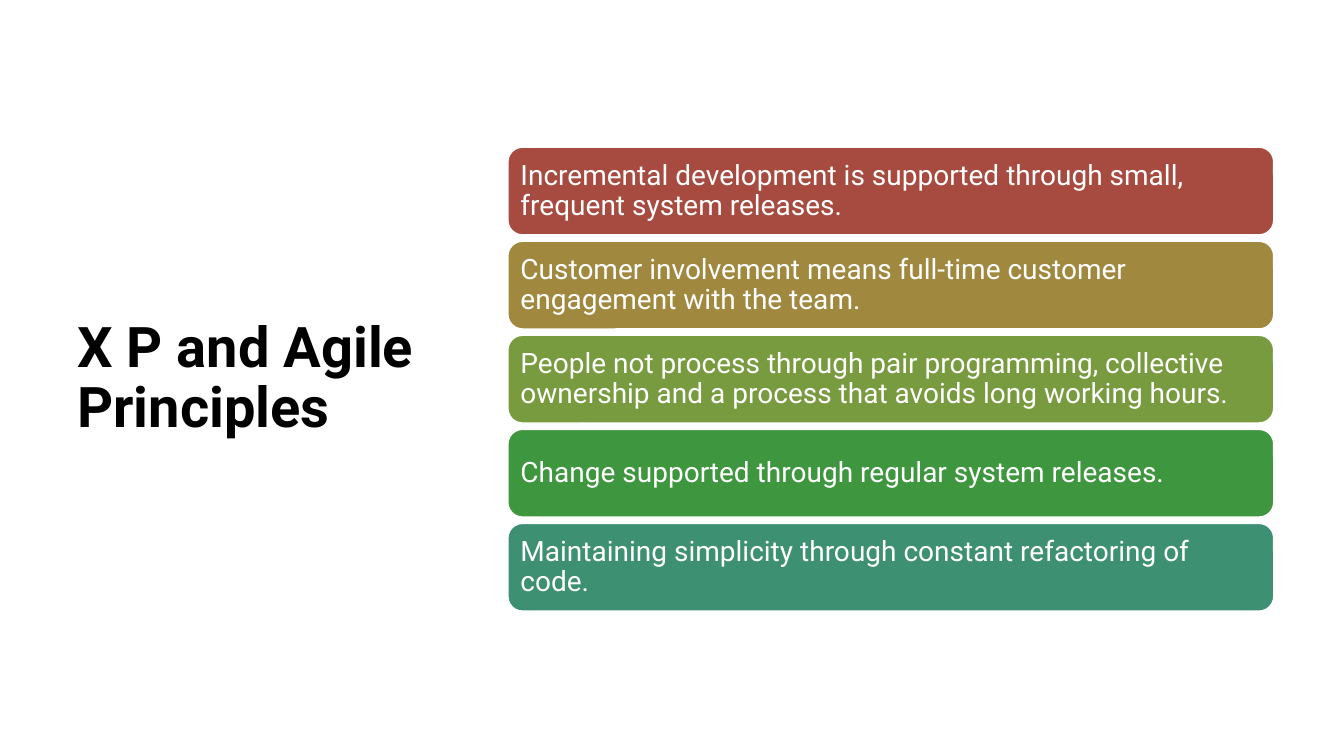
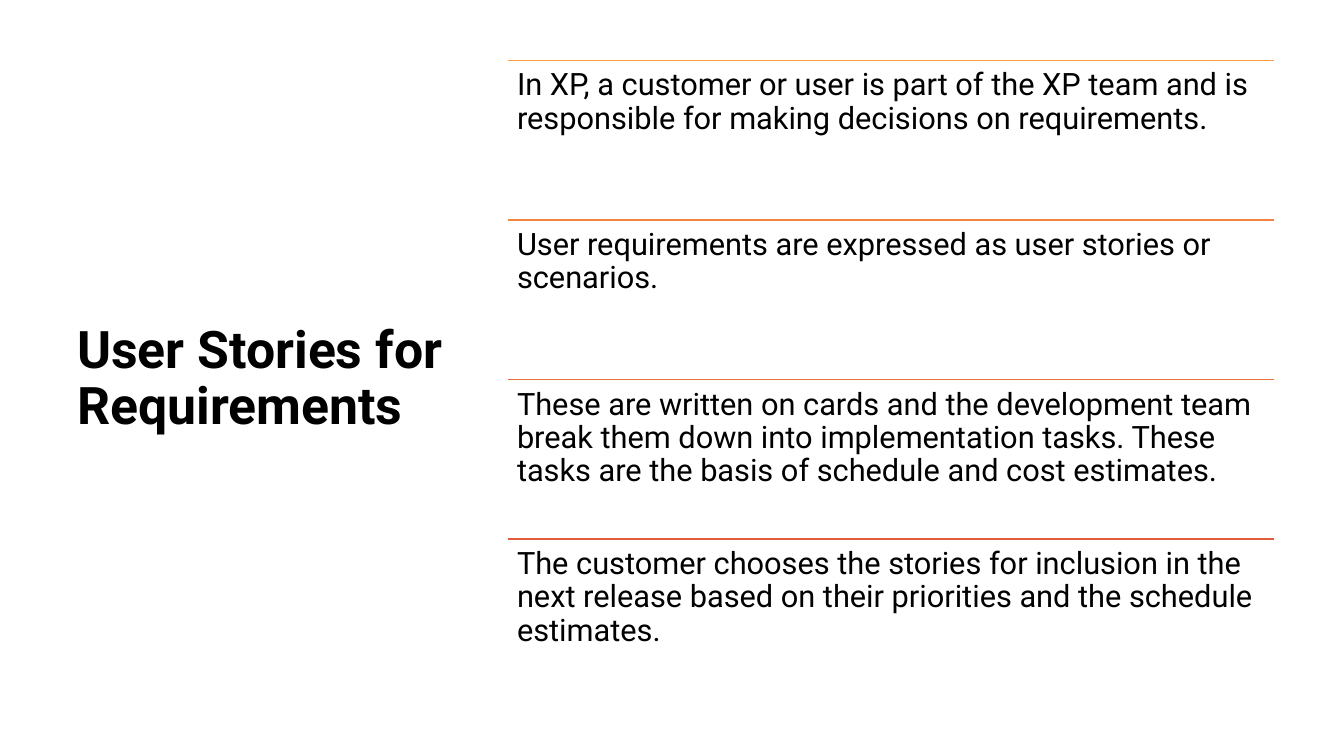
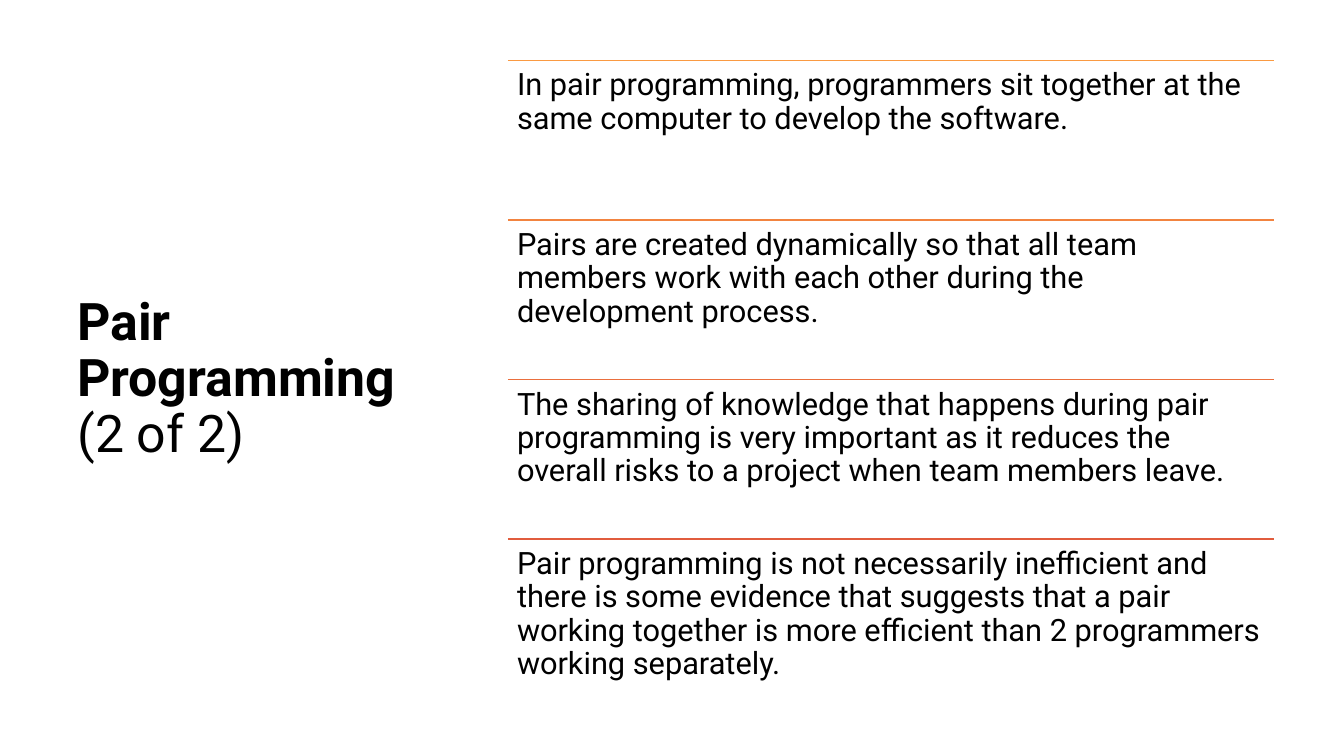
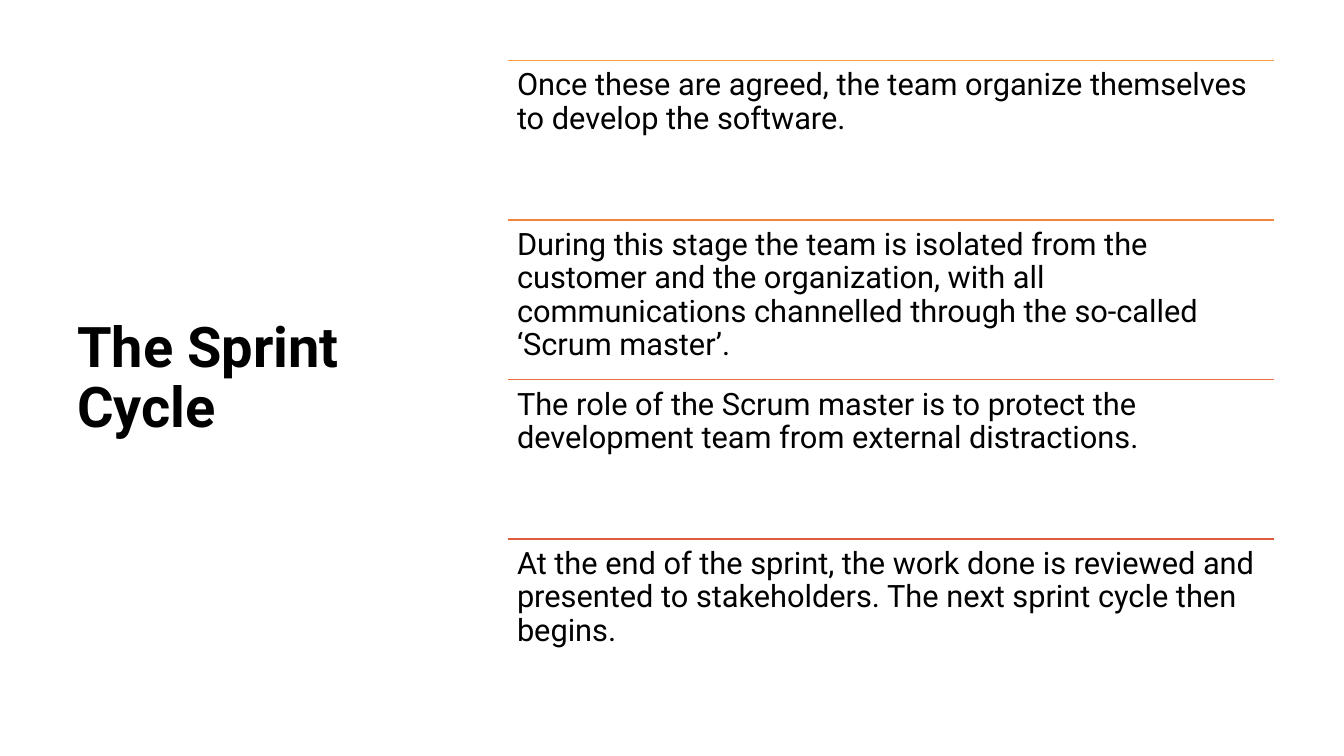
from lxml import etree
from pptx import Presentation
from pptx.dml.color import RGBColor
from pptx.enum.shapes import MSO_CONNECTOR, MSO_SHAPE
from pptx.enum.text import MSO_ANCHOR, PP_ALIGN
from pptx.oxml.ns import qn
from pptx.util import Cm, Pt

STRAIGHT = MSO_CONNECTOR.STRAIGHT
ROUNDED = MSO_SHAPE.ROUNDED_RECTANGLE
TOP, MIDDLE = MSO_ANCHOR.TOP, MSO_ANCHOR.MIDDLE
LEFT = PP_ALIGN.LEFT

FONT = "Roboto"
BLACK = RGBColor(0x00, 0x00, 0x00)
WHITE = RGBColor(0xFF, 0xFF, 0xFF)
CARD_COLORS = [
    RGBColor(0xA7, 0x4B, 0x40),
    RGBColor(0xA1, 0x88, 0x3F),
    RGBColor(0x79, 0x9B, 0x3F),
    RGBColor(0x3E, 0x96, 0x3E),
    RGBColor(0x3D, 0x90, 0x72),
]
RULE_COLORS = [
    RGBColor(0xFA, 0x9A, 0x42),
    RGBColor(0xF2, 0x84, 0x40),
    RGBColor(0xEA, 0x6F, 0x3E),
    RGBColor(0xE1, 0x5C, 0x3D),
]

BODY_TOP, BODY_H = Cm(1.52), Cm(16.08)
TITLE_X, TITLE_W = Cm(1.7), Cm(9.7)
LIST_X, LIST_W = Cm(12.8), Cm(19.3)
CARD_TOP, CARD_H, CARD_GAP = Cm(3.71), Cm(2.21), Cm(0.16)

SLIDES = [
    {
        "title": "X P and Agile Principles",
        "size": 40,
        "style": "cards",
        "items": [
            "Incremental development is supported through small, frequent system releases.",
            "Customer involvement means full-time customer engagement with the team.",
            "People not process through pair programming, collective ownership and a process "
            "that avoids long working hours.",
            "Change supported through regular system releases.",
            "Maintaining simplicity through constant refactoring of code.",
        ],
    },
    {
        "title": "User Stories for Requirements",
        "size": 37,
        "style": "rules",
        "items": [
            "In XP, a customer or user is part of the XP team and is responsible for making "
            "decisions on requirements.",
            "User requirements are expressed as user stories or scenarios.",
            "These are written on cards and the development team break them down into "
            "implementation tasks. These tasks are the basis of schedule and cost estimates.",
            "The customer chooses the stories for inclusion in the next release based on "
            "their priorities and the schedule estimates.",
        ],
    },
    {
        "title": "Pair Programming ",
        "part": "(2 of 2)",
        "size": 37,
        "style": "rules",
        "items": [
            "In pair programming, programmers sit together at the same computer to develop "
            "the software.",
            "Pairs are created dynamically so that all team members work with each other "
            "during the development process.",
            "The sharing of knowledge that happens during pair programming is very important "
            "as it reduces the overall risks to a project when team members leave.",
            "Pair programming is not necessarily inefficient and there is some evidence that "
            "suggests that a pair working together is more efficient than 2 programmers "
            "working separately.",
        ],
    },
    {
        "title": "The Sprint Cycle",
        "size": 40,
        "style": "rules",
        "items": [
            "Once these are agreed, the team organize themselves to develop the software.",
            "During this stage the team is isolated from the customer and the organization, "
            "with all communications channelled through the so-called ‘Scrum master’.",
            "The role of the Scrum master is to protect the development team from external "
            "distractions.",
            "At the end of the sprint, the work done is reviewed and presented to "
            "stakeholders. The next sprint cycle then begins.",
        ],
    },
]


def write(sp, text, size, color=BLACK, bold=False, anchor=TOP, inset=None, plain=""):
    tf = sp.text_frame
    tf.word_wrap = True
    tf.vertical_anchor = anchor
    if inset is not None:
        tf.margin_left = tf.margin_right = tf.margin_top = tf.margin_bottom = inset
    p = tf.paragraphs[0]
    p.alignment = LEFT
    p.line_spacing = 0.9
    for part, is_bold in ((text, bold), (plain, False)):
        if part:
            r = p.add_run()
            r.text = part
            r.font.name = FONT
            r.font.size = Pt(size)
            r.font.bold = is_bold
            r.font.color.rgb = color


def add_title(s, text, size, part=""):
    sp = s.shapes.add_textbox(TITLE_X, BODY_TOP, TITLE_W, BODY_H)
    write(sp, text, size, bold=True, anchor=MIDDLE, plain=part)


def add_cards(s, items):
    for i, (text, color) in enumerate(zip(items, CARD_COLORS)):
        y = CARD_TOP + i * (CARD_H + CARD_GAP)
        sp = s.shapes.add_shape(ROUNDED, LIST_X, y, LIST_W, CARD_H)
        sp.shadow.inherit = False
        sp.fill.solid()
        sp.fill.fore_color.rgb = color
        sp.line.color.rgb = WHITE
        sp.line.width = Pt(1)
        write(sp, text, 20, color=WHITE, anchor=MIDDLE, inset=Cm(0.21))


def add_rules(s, items):
    row_h = BODY_H // len(items)
    for i, (text, color) in enumerate(zip(items, RULE_COLORS)):
        y = BODY_TOP + i * row_h
        rule = s.shapes.add_connector(STRAIGHT, LIST_X, y, LIST_X + LIST_W, y)
        rule.line.color.rgb = color
        rule.line.width = Pt(1)
        etree.SubElement(rule._element.spPr, qn("a:effectLst"))
        sp = s.shapes.add_textbox(LIST_X, y, LIST_W, row_h)
        write(sp, text, 22, inset=Cm(0.23))


def main():
    prs = Presentation()
    prs.slide_width, prs.slide_height = Cm(33.87), Cm(19.05)
    blank = prs.slide_layouts[6]
    builders = {"cards": add_cards, "rules": add_rules}
    for content in SLIDES:
        s = prs.slides.add_slide(blank)
        add_title(s, content["title"], content["size"], content.get("part", ""))
        builders[content["style"]](s, content["items"])
    prs.save("out.pptx")


if __name__ == "__main__":
    main()
